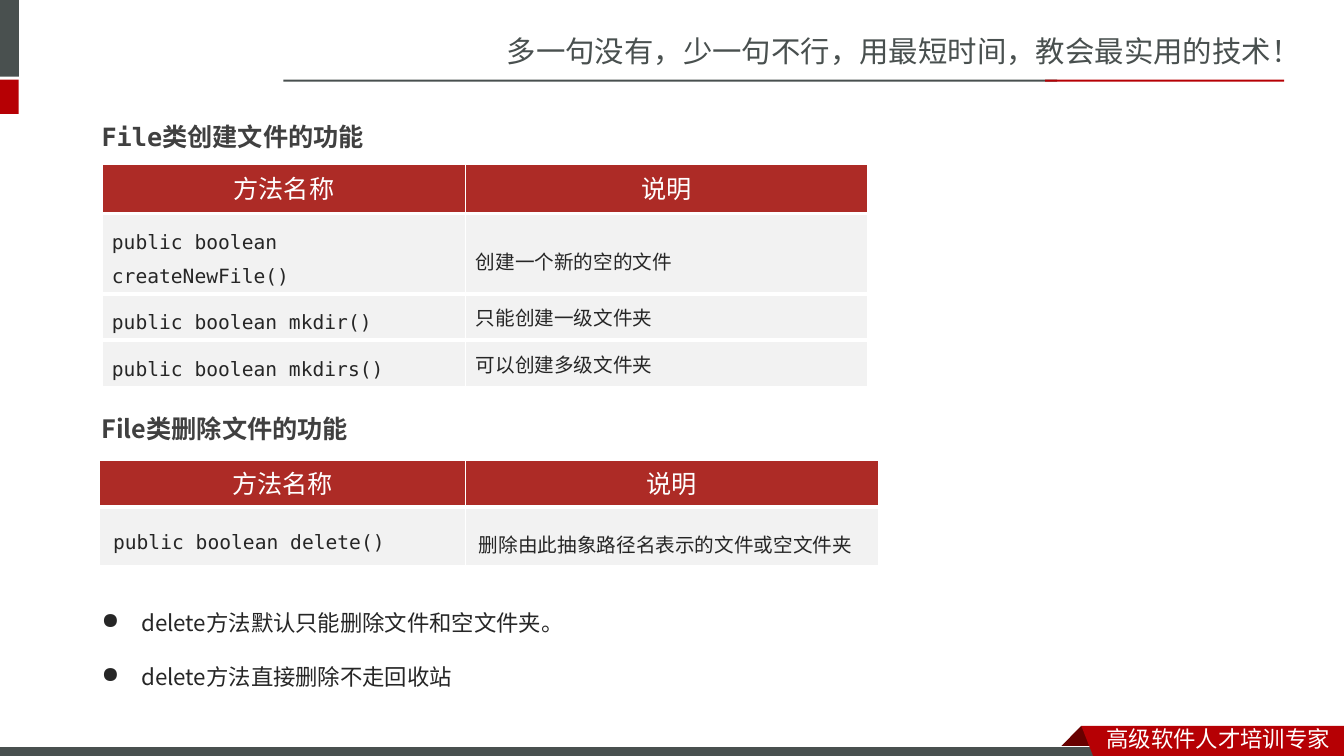
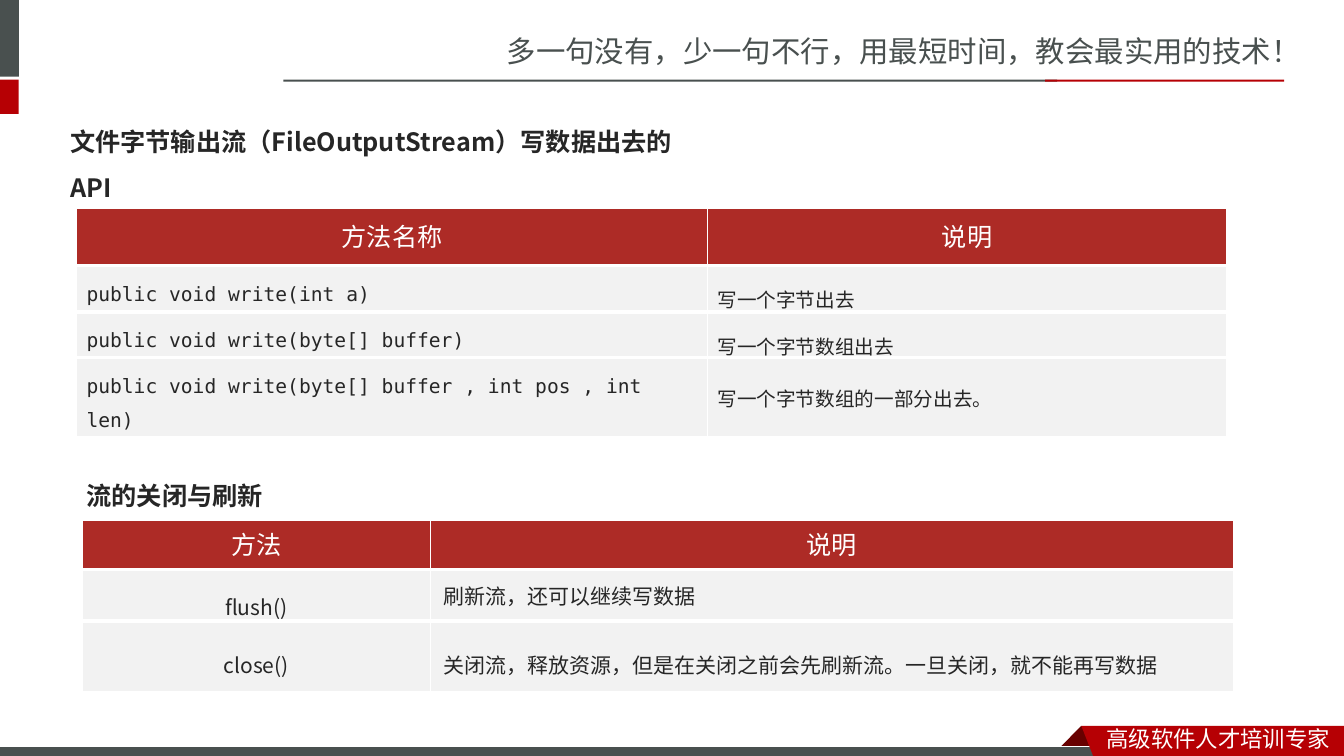
from lxml import etree
from pptx import Presentation
from pptx.dml.color import RGBColor
from pptx.enum.shapes import MSO_SHAPE
from pptx.enum.text import MSO_ANCHOR, PP_ALIGN
from pptx.oxml.ns import qn
from pptx.util import Cm, Pt

RECTANGLE = MSO_SHAPE.RECTANGLE
LEFT, CENTER = PP_ALIGN.LEFT, PP_ALIGN.CENTER
TOP, MIDDLE = MSO_ANCHOR.TOP, MSO_ANCHOR.MIDDLE

SLATE = RGBColor(0x49, 0x50, 0x4F)
RED = RGBColor(0xB6, 0x00, 0x04)
DARK_RED = RGBColor(0x68, 0x00, 0x00)
HEADER_RED = RGBColor(0xAD, 0x2B, 0x26)
PALE = RGBColor(0xF2, 0xF2, 0xF2)
WHITE = RGBColor(0xFF, 0xFF, 0xFF)
GRAY = RGBColor(0x40, 0x40, 0x40)
INK = RGBColor(0x26, 0x26, 0x26)

MONO = "DejaVu Sans Mono"
LATO = "Lato"
SANS = "Noto Sans CJK SC"
SANS_JP = "Noto Sans CJK JP"

SLOGAN = "多一句没有，少一句不行，用最短时间，教会最实用的技术！"
TAGLINE = "高级软件人才培训专家"


def write_text(paragraph, text, font=SANS, size=14, color=INK, bold=False,
               align=LEFT, spacing=1.0):
    """Add one formatted run to a paragraph."""
    paragraph.alignment = align
    paragraph.line_spacing = spacing
    run = paragraph.add_run()
    run.text = text
    run.font.name = font
    run.font.size = Pt(size)
    run.font.bold = bold
    run.font.color.rgb = color
    east_asian = font if font in (SANS, SANS_JP) else SANS
    etree.SubElement(run.font._element, qn("a:ea"), typeface=east_asian)


def add_text(slide, box, *lines, bullet=None, anchor=TOP, **text_format):
    """Place a wrapping text box with one paragraph per line."""
    frame = slide.shapes.add_textbox(*map(Cm, box)).text_frame
    frame.word_wrap = True
    frame.vertical_anchor = anchor
    for index, line in enumerate(lines):
        paragraph = frame.add_paragraph() if index else frame.paragraphs[0]
        write_text(paragraph, line, **text_format)
        if bullet:
            properties = paragraph._p.get_or_add_pPr()
            properties.set("marL", str(Cm(1)))
            properties.set("indent", str(-Cm(1)))
            etree.SubElement(properties, qn("a:buChar"), char=bullet)


def paint(shape, color, outline=None):
    """Give a shape a flat fill and an optional thin outline."""
    shape.shadow.inherit = False
    shape.fill.solid()
    shape.fill.fore_color.rgb = color
    if outline is None:
        shape.line.fill.background()
    else:
        shape.line.color.rgb = outline
        shape.line.width = Pt(0.75)


def add_bar(slide, box, color, outline=None):
    """Draw a plain rectangle."""
    paint(slide.shapes.add_shape(RECTANGLE, *map(Cm, box)), color, outline)


def add_polygon(slide, left, top, offsets, color):
    """Draw a closed outline from offsets to its top left corner."""
    points = [(Cm(left + x), Cm(top + y)) for x, y in offsets]
    builder = slide.shapes.build_freeform(*points[0], scale=1.0)
    builder.add_line_segments(points[1:], close=True)
    paint(builder.convert_to_shape(), color)


def add_header(slide):
    """Draw the side tabs, the slogan and its two-colour rule."""
    add_text(slide, (12.52, 0.71, 21.35, 1.19), SLOGAN, size=21, color=SLATE)
    add_bar(slide, (-0.15, 0, 0.63, 1.93), SLATE)
    add_bar(slide, (-0.15, 2.01, 0.62, 0.86), RED)
    add_bar(slide, (7.14, 2.01, 19.5, 0.05), SLATE)
    add_bar(slide, (26.34, 2.01, 6.02, 0.05), RED)


def add_footer(slide):
    """Draw the bottom band and the folded ribbon with the tagline."""
    left, top = 26.7, 18.29
    add_polygon(slide, left, top, [(0.55, 0), (1.11, 0.56), (1.09, 0.58),
                                   (0.02, 0.58), (0, 0.56)], DARK_RED)
    add_bar(slide, (-0.03, 18.82, 27.94, 0.3), SLATE, WHITE)
    add_polygon(slide, left, top, [(0.55, 0), (7.17, 0), (7.17, 0.86),
                                   (0.88, 0.84)], RED)
    add_text(slide, (27.64, 18.16, 6.23, 0.94), TAGLINE, size=16, color=WHITE)


def style_cell(cell, color, top_width, inset):
    """Set a cell's white borders, fill, insets and anchor."""
    properties = cell._tc.get_or_add_tcPr()
    for side, width in (("L", 1), ("R", 1), ("T", top_width), ("B", 3)):
        line = etree.SubElement(properties, qn(f"a:ln{side}"), w=str(Pt(width)))
        fill = etree.SubElement(line, qn("a:solidFill"))
        etree.SubElement(fill, qn("a:srgbClr"), val=str(WHITE))
    cell.fill.solid()
    cell.fill.fore_color.rgb = color
    cell.vertical_anchor = MIDDLE
    cell.margin_left = cell.margin_right = Cm(inset)
    cell.margin_top = cell.margin_bottom = Cm(inset / 2)


def add_method_table(slide, left, top, widths, heights, titles, rows, size=14,
                     inset=0.25, method_font=MONO, method_align=LEFT,
                     note_font=SANS):
    """Build a table of methods; each row is method, note, note spacing."""
    table = slide.shapes.add_table(
        len(heights), len(widths), Cm(left), Cm(top),
        Cm(sum(widths)), Cm(sum(heights))).table
    table.first_row = table.horz_banding = False
    for column, width in zip(table.columns, widths):
        column.width = Cm(width)
    for row, height in zip(table.rows, heights):
        row.height = Cm(height)
    for index, title in enumerate(titles):
        cell = table.cell(0, index)
        style_cell(cell, HEADER_RED, 1, 0.25)
        write_text(cell.text_frame.paragraphs[0], title, font=LATO, size=18,
                   color=WHITE, align=CENTER, spacing=Pt(24))
    for index, (method, note, note_spacing) in enumerate(rows, 1):
        for column, text, font, align, spacing in (
                (0, method, method_font, method_align, 1.5),
                (1, note, note_font, LEFT, note_spacing)):
            cell = table.cell(index, column)
            style_cell(cell, PALE, 3, inset)
            write_text(cell.text_frame.paragraphs[0], text, font=font,
                       size=size, align=align, spacing=spacing)


def add_content_slide(presentation):
    """Add a blank slide with the shared header and footer."""
    slide = presentation.slides.add_slide(presentation.slide_layouts[6])
    add_header(slide)
    add_footer(slide)
    return slide


def build_file_slide(presentation):
    """Show how File creates and deletes files."""
    slide = add_content_slide(presentation)
    titles = ("方法名称", "说明")
    add_text(slide, (2.31, 2.18, 26.3, 1.6), "File类创建文件的功能",
             font=MONO, size=18, color=GRAY, bold=True, spacing=2.0)
    add_method_table(
        slide, 2.57, 4.14, (9.17, 10.13), (1.24, 2.01, 1.16, 1.2), titles,
        [("public boolean createNewFile()", "创建一个新的空的文件", 1.5),
         ("public boolean mkdir()", "只能创建一级文件夹", 1.0),
         ("public boolean mkdirs()", "可以创建多级文件夹", 1.0)],
        note_font=SANS_JP)
    add_text(slide, (2.31, 10.29, 26.3, 1.02), "File类删除文件的功能",
             font=SANS_JP, size=18, color=GRAY, bold=True)
    add_method_table(
        slide, 2.51, 11.61, (9.22, 10.41), (1.17, 1.5), titles,
        [("public boolean delete()", "删除由此抽象路径名表示的文件或空文件夹", 1.5)],
        inset=0.34)
    add_text(slide, (2.31, 14.55, 27.74, 2.82),
             "delete方法默认只能删除文件和空文件夹。",
             "delete方法直接删除不走回收站",
             bullet="●", font=SANS_JP, size=16, spacing=2.0)


def build_stream_slide(presentation):
    """Show how FileOutputStream writes, flushes and closes."""
    slide = add_content_slide(presentation)
    heading = {"font": SANS_JP, "size": 18, "bold": True, "spacing": 1.5}
    add_text(slide, (1.52, 2.68, 16.56, 2.54),
             "文件字节输出流（FileOutputStream）写数据出去的API",
             anchor=MIDDLE, **heading)
    add_method_table(
        slide, 1.93, 5.26, (15.9, 13.08), (1.43, 1.17, 1.15, 1.98),
        ("方法名称", "说明"),
        [("public void write(int a)", "写一个字节出去", 1.5),
         ("public void write(byte[] buffer)", "写一个字节数组出去", 1.5),
         ("public void write(byte[] buffer , int pos , int len)",
          "写一个字节数组的一部分出去。", 1.0)])
    add_text(slide, (1.93, 11.61, 16.94, 1.3), "流的关闭与刷新", **heading)
    add_method_table(
        slide, 2.08, 13.11, (8.76, 20.24), (1.24, 1.3, 1.8), ("方法", "说明"),
        [("flush()", "刷新流，还可以继续写数据", 1.0),
         ("close()",
          "关闭流，释放资源，但是在关闭之前会先刷新流。一旦关闭，就不能再写数据", 1.5)],
        size=15, inset=0.34, method_font=SANS, method_align=CENTER)


def main():
    """Build and save the presentation."""
    presentation = Presentation()
    presentation.slide_width = Cm(33.87)
    presentation.slide_height = Cm(19.05)
    build_file_slide(presentation)
    build_stream_slide(presentation)
    presentation.save("out.pptx")


if __name__ == "__main__":
    main()
